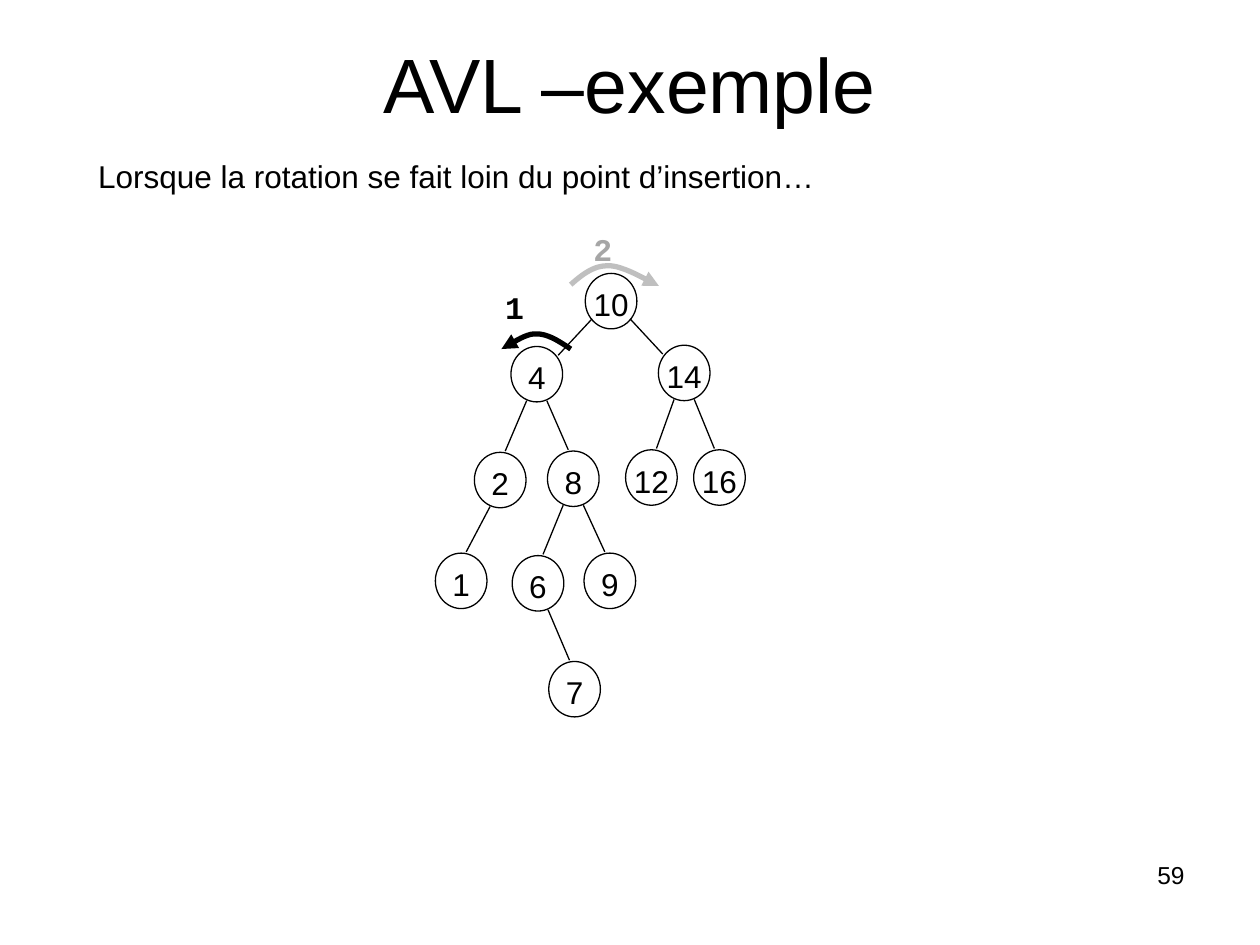
from pptx import Presentation
from pptx.dml.color import RGBColor
from pptx.enum.shapes import MSO_CONNECTOR as CONN, MSO_SHAPE as SHAPE
from pptx.enum.text import MSO_ANCHOR as ANCHOR, PP_ALIGN as ALIGN
from pptx.oxml.ns import qn
from pptx.util import Inches, Pt
from lxml.etree import SubElement

THEME = {
    "font": "Arial", "mono": "Courier New",
    "ink": "000000", "faded": "A6A6A6", "faded_arc": "BFBFBF",
    "title": 44, "body": 18, "number": 14,
    "thin": 0.75, "thick": 3,
}
WIDTH, HEIGHT = 10, 7.5
NODE_W, NODE_H = 0.41, 0.44

# key: (centre x, centre y, parent)
TREE = {
    "10": (4.85, 2.39, None),
    "4": (4.26, 2.97, "10"), "14": (5.43, 2.96, "10"),
    "2": (3.97, 3.81, "4"), "8": (4.55, 3.8, "4"),
    "12": (5.17, 3.79, "14"), "16": (5.71, 3.79, "14"),
    "1": (3.66, 4.61, "2"), "6": (4.27, 4.63, "8"), "9": (4.84, 4.61, "8"),
    "7": (4.56, 5.47, "6"),
}
# Edge ends, as offsets from the parent's and the child's centre (right side)
WIDE_EDGE = (0.15, 0.14), (-0.17, -0.15)
STEEP_EDGE = (0.08, 0.21), (-0.04, -0.23)

# text, box, size, font, colour, bold, alignment
TEXTS = [
    ("AVL –exemple", (0.5, 0.3, 9, 0.79), "title", "font", "ink", False, ALIGN.CENTER),
    ("Lorsque la rotation se fait loin du point d’insertion…",
     (0.68, 1.22, 5.89, 0.39), "body", "font", "ink", False, ALIGN.LEFT),
    ("1", (3.91, 2.26, 0.35, 0.38), "body", "mono", "ink", True, ALIGN.CENTER),
    ("2", (4.61, 1.8, 0.35, 0.39), "body", "mono", "faded", True, ALIGN.CENTER),
    ("59", (7.17, 6.8, 2.33, 0.52), "number", "font", "ink", False, ALIGN.RIGHT),
]

# colour, start point, then Bézier segments (two controls and an end)
ROTATIONS = [
    ("faded_arc", (4.53, 2.26), [((4.62, 2.18), (4.71, 2.11), (4.82, 2.11)),
                                 ((4.94, 2.1), (5.16, 2.24), (5.23, 2.27))]),
    ("ink", (4.53, 2.77), [((4.44, 2.71), (4.35, 2.65), (4.26, 2.65)),
                           ((4.17, 2.64), (4.03, 2.75), (3.98, 2.77))]),
]


def color(name):
    return RGBColor.from_string(THEME[name])


def style_line(s, name, width):
    s.line.color.rgb = color(name)
    s.line.width = Pt(THEME[width])


def write(s, text, size, font, ink, bold=False, align=ALIGN.CENTER):
    tf = s.text_frame
    tf.text = text
    p = tf.paragraphs[0]
    p.alignment, p.line_spacing = align, 0.93
    f = p.runs[0].font
    f.name, f.size, f.bold = THEME[font], Pt(THEME[size]), bold
    f.color.rgb = color(ink)
    return tf


def add_text(slide, text, box, size, font, ink, bold, align):
    s = slide.shapes.add_textbox(*map(Inches, box))
    tf = write(s, text, size, font, ink, bold, align)
    tf.word_wrap = size != "body"
    if size == "title":
        tf.vertical_anchor = ANCHOR.MIDDLE


def add_node(slide, key, x, y):
    box = x - NODE_W / 2, y - NODE_H / 2, NODE_W, NODE_H
    s = slide.shapes.add_shape(SHAPE.OVAL, *map(Inches, box))
    s.shadow.inherit = False
    s.fill.background()
    style_line(s, "ink", "thin")
    tf = write(s, key, "body", "font", "ink")
    tf.word_wrap = False
    tf.vertical_anchor = ANCHOR.MIDDLE
    tf.margin_left = tf.margin_right = tf.margin_bottom = 0
    tf.margin_top = Inches(0.08)


def add_edge(slide, parent, child):
    px, py, grandparent = TREE[parent]
    cx, cy, _ = TREE[child]
    (ax, ay), (bx, by) = STEEP_EDGE if grandparent else WIDE_EDGE
    side = 1 if cx > px else -1
    ends = px + side * ax, py + ay, cx + side * bx, cy + by
    s = slide.shapes.add_connector(CONN.STRAIGHT, *map(Inches, ends))
    style_line(s, "ink", "thin")
    SubElement(s._element.spPr, qn("a:effectLst"))


def curve_points(start, segments, steps=12):
    """Sample the Bézier segments as points in EMU, start included."""
    yield tuple(map(Inches, start))
    for c1, c2, end in segments:
        for i in range(1, steps + 1):
            t = i / steps
            u = 1 - t
            yield tuple(Inches(u**3 * a + 3 * u * u * t * b + 3 * u * t * t * c + t**3 * d)
                        for a, b, c, d in zip(start, c1, c2, end))
        start = end


def add_rotation(slide, ink, start, segments):
    first, *rest = curve_points(start, segments)
    builder = slide.shapes.build_freeform(*first, scale=1.0)
    builder.add_line_segments(rest, close=False)
    s = builder.convert_to_shape()
    s.shadow.inherit = False
    s.fill.background()
    style_line(s, ink, "thick")
    SubElement(s._element.spPr.find(qn("a:ln")), qn("a:tailEnd"), type="triangle")


def main():
    prs = Presentation()
    prs.slide_width, prs.slide_height = Inches(WIDTH), Inches(HEIGHT)
    slide = prs.slides.add_slide(prs.slide_layouts[6])
    for key, (x, y, parent) in TREE.items():
        add_node(slide, key, x, y)
        if parent:
            add_edge(slide, parent, key)
    for rotation in ROTATIONS:
        add_rotation(slide, *rotation)
    for text in TEXTS:
        add_text(slide, *text)
    prs.save("out.pptx")


if __name__ == "__main__":
    main()
